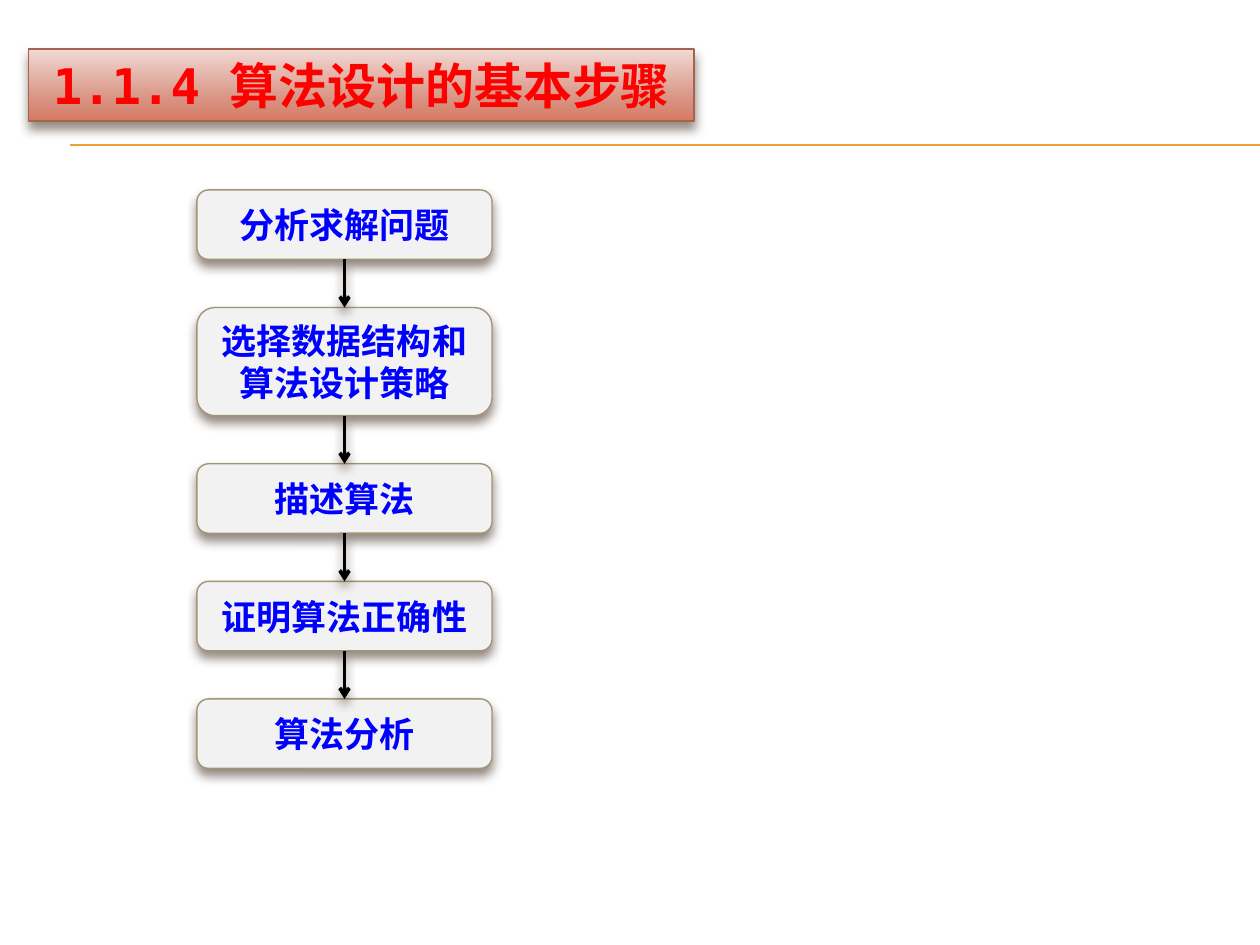
from lxml import etree
from pptx import Presentation
from pptx.dml.color import RGBColor
from pptx.enum.shapes import MSO_CONNECTOR as Connector, MSO_SHAPE as Shape
from pptx.enum.text import MSO_ANCHOR as Anchor, PP_ALIGN as Align
from pptx.oxml import parse_xml
from pptx.oxml.ns import nsdecls, qn
from pptx.util import Cm, Pt

COLORS = {
    "rule": "F0A22E", "title": "FF0000", "title_line": "A5644E",
    "step": "0000FF", "step_fill": "F2F2F2", "step_line": "A19574",
    "arrow": "000000", "shadow": "4E3B30",
}
TITLE_STOPS = [(0, "F1D9D4"), (72, "D89180"), (100, "D47A62")]
TITLE_FONT, STEP_FONT = "DejaVu Sans Mono", "Noto Sans CJK SC"
STEPS = [  # text, height in cm
    ("分析求解问题", 1.4),
    ("选择数据结构和算法设计策略", 2.18),
    ("描述算法", 1.4),
    ("证明算法正确性", 1.4),
    ("算法分析", 1.4),
]
STEP_GAP = 0.97


def color(name):
    return RGBColor.from_string(COLORS[name])


def add_shadow(shape):
    properties = shape._element.spPr
    for old in properties.findall(qn("a:effectLst")):
        properties.remove(old)
    properties.append(parse_xml(
        f'<a:effectLst {nsdecls("a")}><a:outerShdw blurRad="{Pt(6)}" dist="{Pt(4)}" '
        f'dir="5400000" rotWithShape="0"><a:srgbClr val="{COLORS["shadow"]}">'
        '<a:alpha val="60000"/></a:srgbClr></a:outerShdw></a:effectLst>'))


def set_gradient(shape, stops):
    """Fill the shape from top to bottom with (percent, colour) stops."""
    shape.fill.gradient()
    shape.fill.gradient_angle = 270
    stop_list = shape._element.spPr.find(qn("a:gradFill")).find(qn("a:gsLst"))
    for old in list(stop_list):
        stop_list.remove(old)
    for percent, value in stops:
        stop = etree.SubElement(stop_list, qn("a:gs"), pos=str(percent * 1000))
        etree.SubElement(stop, qn("a:srgbClr"), val=value)


def add_line(slide, start, end, line_color, width):
    line = slide.shapes.add_connector(
        Connector.STRAIGHT, *(Cm(value) for value in start + end))
    line.line.color.rgb = color(line_color)
    line.line.width = Pt(width)
    etree.SubElement(line._element.spPr, qn("a:effectLst"))
    return line


def add_panel(slide, preset, box, line_color):
    """Add an outlined shape with a soft shadow below it."""
    panel = slide.shapes.add_shape(preset, *(Cm(value) for value in box))
    panel.line.color.rgb = color(line_color)
    panel.line.width = Pt(0.79)
    add_shadow(panel)
    return panel


def write_text(shape, text, font_name, size, font_color):
    frame = shape.text_frame
    frame.word_wrap = True
    frame.vertical_anchor = Anchor.MIDDLE
    frame.margin_top = frame.margin_bottom = 0
    paragraph = frame.paragraphs[0]
    paragraph.alignment = Align.CENTER
    run = paragraph.add_run()
    run.text = text
    run.font.size = Pt(size)
    run.font.bold = True
    run.font.color.rgb = color(font_color)
    run.font.name = font_name
    etree.SubElement(run._r.get_or_add_rPr(), qn("a:ea"), typeface=STEP_FONT)


def add_header_rule(slide, left, top, right):
    for y in (top, top + 0.02):
        add_line(slide, (left, y), (right, y), "rule", 0.75)


def add_title(slide, box):
    title = add_panel(slide, Shape.RECTANGLE, box, "title_line")
    set_gradient(title, TITLE_STOPS)
    write_text(title, "1.1.4 算法设计的基本步骤", TITLE_FONT, 28, "title")


def add_arrow(slide, upper, lower):
    arrow = add_line(slide, (0, 0), (0, 0), "arrow", 2)
    arrow.begin_connect(upper, 2)
    arrow.end_connect(lower, 0)
    etree.SubElement(arrow.line._get_or_add_ln(), qn("a:tailEnd"), type="arrow")
    add_shadow(arrow)


def add_flow(slide, left, top, width):
    """Stack the steps downwards and join each to the next."""
    boxes = []
    for text, height in STEPS:
        step = add_panel(slide, Shape.ROUNDED_RECTANGLE,
                         (left, top, width, height), "step_line")
        step.fill.solid()
        step.fill.fore_color.rgb = color("step_fill")
        write_text(step, text, STEP_FONT, 20, "step")
        boxes.append(step)
        top += height + STEP_GAP
    for upper, lower in zip(boxes, boxes[1:]):
        add_arrow(slide, upper, lower)


def main():
    presentation = Presentation()
    presentation.slide_width, presentation.slide_height = Cm(25.4), Cm(19.05)
    slide = presentation.slides.add_slide(presentation.slide_layouts[6])
    add_header_rule(slide, 1.42, 2.92, 25.4)
    add_title(slide, (0.58, 0.99, 13.41, 1.45))
    add_flow(slide, 3.97, 3.83, 5.95)
    presentation.save("out.pptx")


if __name__ == "__main__":
    main()
